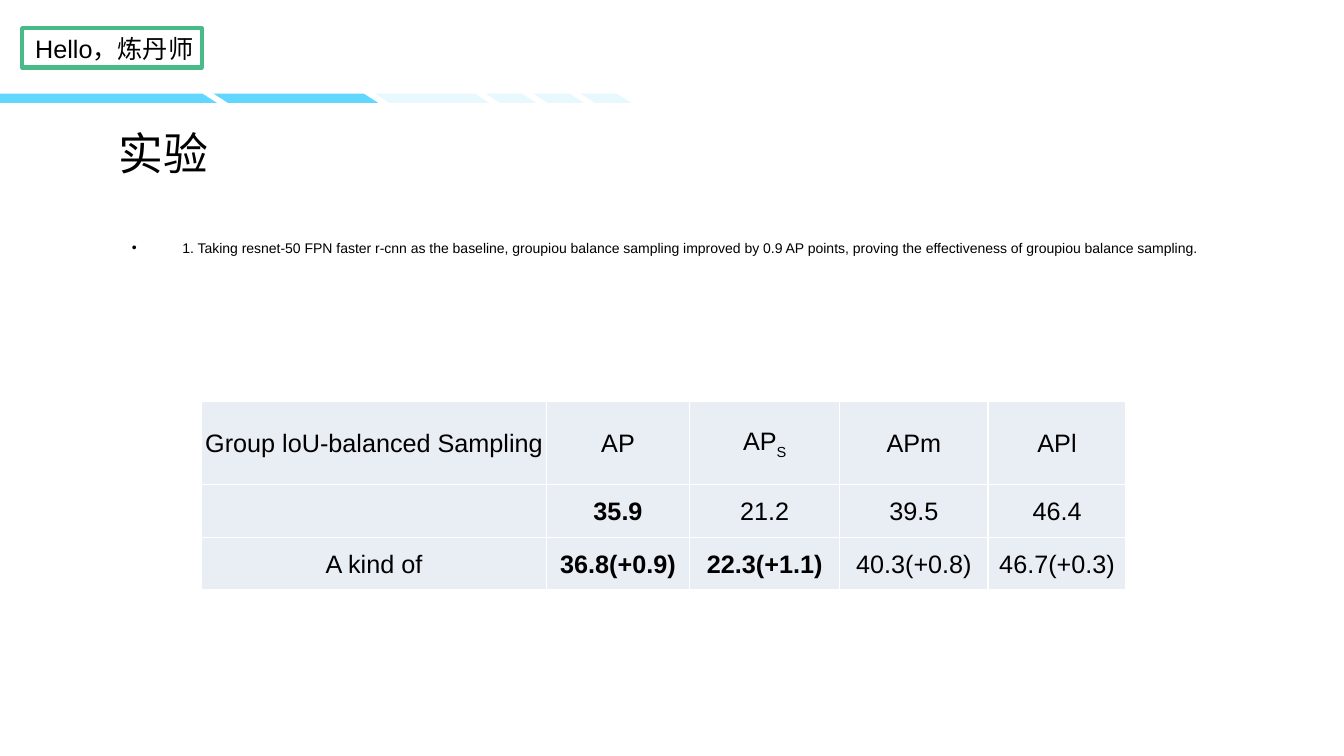
"""Build the experiment results slide."""
from dataclasses import dataclass

from lxml import etree
from pptx import Presentation
from pptx import util as u
from pptx.dml.color import RGBColor
from pptx.enum import shapes, text
from pptx.oxml import ns

PX = 9144


@dataclass(frozen=True)
class Theme:
    """Colours, fonts and type sizes of the slide."""
    ink: str = "000000"
    band: str = "61D6FE"
    frame: str = "49BB88"
    cell: str = "E9EDF4"
    border: str = "FFFFFF"
    latin: str = "Arial"
    chinese: str = "Noto Sans CJK SC"
    title: int = 32
    label: int = 18
    body: int = 10


THEME = Theme()
SLANT = 14
DONE_STEPS = [(-SLANT, 201), (212, 361)]
NEXT_STEPS = [(372, 471), (482, 518), (529, 565), (576, 612)]
COLUMNS = [342, 142, 149, 147, 137]
ROWS = [83, 52, 52]
RESULTS = [
    ["Group loU-balanced Sampling", "AP", "AP", "APm", "APl"],
    ["", "35.9", "21.2", "39.5", "46.4"],
    ["A kind of", "36.8(+0.9)", "22.3(+1.1)", "40.3(+0.8)", "46.7(+0.3)"],
]
BEST = {"35.9", "36.8(+0.9)", "22.3(+1.1)"}


def px(*lengths):
    """Turn pixel lengths into EMU."""
    return [u.Emu(length * PX) for length in lengths]


def add_element(parent, tag, **attributes):
    """Append a drawing element with the given attributes."""
    return etree.SubElement(parent, ns.qn(tag), attributes)


def style_run(run, size, latin=THEME.latin, bold=False):
    """Set the type of one run."""
    run.font.size = u.Pt(size)
    run.font.name = latin
    run.font.bold = bold
    run.font.color.rgb = RGBColor.from_string(THEME.ink)
    add_element(run.font._element, "a:ea", typeface=THEME.chinese)


def add_band(slide, steps, alpha=100):
    """Draw slanted steps as one shape."""
    builder = None
    for left, right in steps:
        corners = [(right + SLANT, 102), (right, 93), (max(left, 0), 93), (left + SLANT, 102)]
        if builder is None:
            builder = slide.shapes.build_freeform(*corners[0], scale=PX)
        else:
            builder.move_to(*corners[0])
        builder.add_line_segments(corners[1:], close=True)
    band = builder.convert_to_shape()
    band.shadow.inherit = False
    band.line.fill.background()
    band.fill.solid()
    band.fill.fore_color.rgb = RGBColor.from_string(THEME.band)
    if alpha < 100:
        colour = band._element.spPr.find(".//" + ns.qn("a:srgbClr"))
        add_element(colour, "a:alpha", val=str(alpha * 1000))


def add_frame(slide, *box):
    """Draw the outlined label frame."""
    frame = slide.shapes.add_shape(shapes.MSO_SHAPE.RECTANGLE, *px(*box))
    frame.shadow.inherit = False
    frame.fill.background()
    frame.line.color.rgb = RGBColor.from_string(THEME.frame)
    frame.line.width = u.Pt(3)


def add_text(slide, box, words, size, latin=THEME.latin, inset=5, bullet=False):
    """Add a single paragraph of text."""
    frame = slide.shapes.add_textbox(*px(*box)).text_frame
    frame.word_wrap = True
    frame.margin_top, frame.margin_bottom = px(inset, inset)
    frame.text = words
    paragraph = frame.paragraphs[0]
    if bullet:
        properties = paragraph._p.get_or_add_pPr()
        properties.set("marL", str(50 * PX))
        properties.set("indent", str(-50 * PX))
        add_element(properties, "a:buFont", typeface=THEME.latin)
        add_element(properties, "a:buChar", char="•")
    style_run(paragraph.runs[0], size, latin)


def style_cell(cell):
    """Set margins, borders and fill of one cell."""
    cell.margin_left, cell.margin_right, cell.margin_top, cell.margin_bottom = px(2, 2, 2, 0)
    cell.vertical_anchor = text.MSO_ANCHOR.MIDDLE
    properties = cell._tc.get_or_add_tcPr()
    for side in ("a:lnL", "a:lnR", "a:lnT", "a:lnB"):
        line = add_element(properties, side, w=str(u.Pt(1)))
        add_element(add_element(line, "a:solidFill"), "a:srgbClr", val=THEME.border)
    cell.fill.solid()
    cell.fill.fore_color.rgb = RGBColor.from_string(THEME.cell)


def add_results(slide, left, top):
    """Add the table of results."""
    box = px(left, top, sum(COLUMNS), sum(ROWS))
    table = slide.shapes.add_table(len(ROWS), len(COLUMNS), *box).table
    table.first_row = table.horz_banding = False
    for column, width in zip(table.columns, px(*COLUMNS)):
        column.width = width
    for row, height, values in zip(table.rows, px(*ROWS), RESULTS):
        row.height = height
        for cell, value in zip(row.cells, values):
            style_cell(cell)
            cell.text_frame.text = value
            paragraph = cell.text_frame.paragraphs[0]
            paragraph.alignment = text.PP_ALIGN.CENTER
            for run in paragraph.runs:
                style_run(run, THEME.label, bold=value in BEST)
    subscript = table.cell(0, 2).text_frame.paragraphs[0].add_run()
    subscript.text = "S"
    style_run(subscript, THEME.label)
    subscript.font._element.set("baseline", "-25000")


def main():
    """Build and save the slide."""
    presentation = Presentation()
    presentation.slide_width, presentation.slide_height = px(1333, 750)
    slide = presentation.slides.add_slide(presentation.slide_layouts[6])
    add_band(slide, DONE_STEPS)
    add_band(slide, NEXT_STEPS, alpha=15)
    add_frame(slide, 22, 28, 178, 39)
    add_text(slide, (25, 28, 508, 31), "Hello，炼丹师", THEME.label)
    add_text(slide, (108, 125, 275, 64), "实验", THEME.title, THEME.chinese, inset=0)
    add_text(
        slide, (121, 233, 1092, 44),
        "1. Taking resnet-50 FPN faster r-cnn as the baseline, groupiou balance sampling "
        "improved by 0.9 AP points, proving the effectiveness of groupiou balance sampling.",
        THEME.body, bullet=True)
    add_results(slide, 200, 398)
    presentation.save("out.pptx")


if __name__ == "__main__":
    main()
